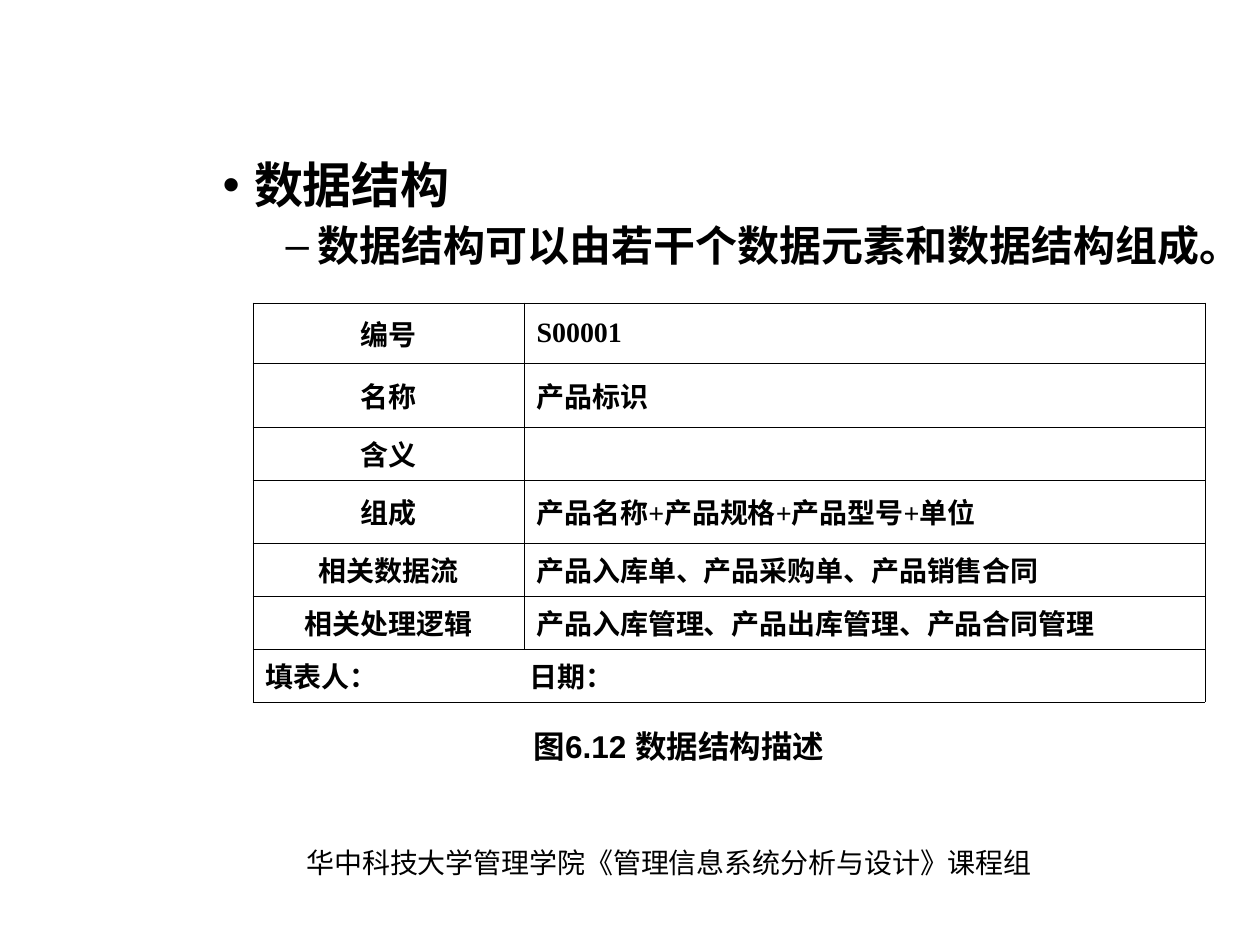
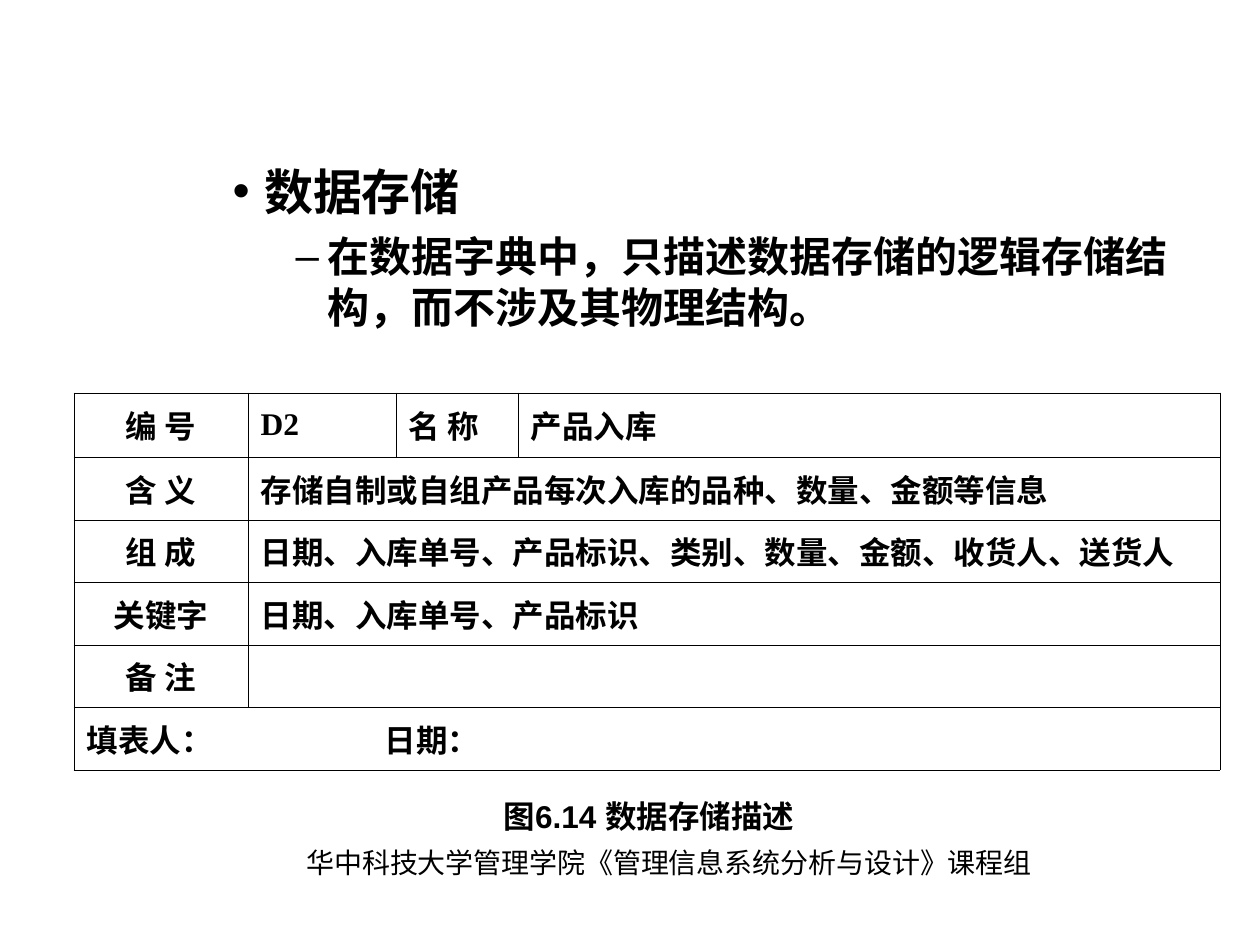
"""Builds two slides on data dictionary entries, each with a list and a form table."""
import lxml.etree
import pptx
import pptx.dml.color
import pptx.enum.text
import pptx.oxml.ns
import pptx.util

HUES = {"ink": "000000", "paper": "FFFFFF"}
HAN = "Noto Sans CJK SC"
SERIF = "Times New Roman"
SANS = "Arial"
FOOT = "华中科技大学管理学院《管理信息系统分析与设计》课程组"
SIGN = ["填表人：\t日期："]


def px(count):
    return pptx.util.Emu(round(count * 914400 / 126))


def hue(name):
    return pptx.dml.color.RGBColor.from_string(HUES[name])


def node(parent, tag, **attrs):
    return lxml.etree.SubElement(parent, pptx.oxml.ns.qn(tag), **attrs)


class Deck:
    def __init__(self):
        self.prs = pptx.Presentation()
        self.prs.slide_width = px(1260)
        self.prs.slide_height = px(945)
        self.slide = None

    def page(self):
        self.slide = self.prs.slides.add_slide(self.prs.slide_layouts[1])
        title = self.slide.shapes.title.element
        title.getparent().remove(title)
        self.label(FOOT, (284, 839, 771, 47), 16, SERIF)

    def style(self, para, size, face, bold=True):
        for run in para.runs:
            font = run.font
            font.size = pptx.util.Pt(size)
            font.bold = bold
            font.color.rgb = hue("ink")
            font.name = face
            node(font._element, "a:ea", typeface=HAN)

    def label(self, text, box, size, face, bold=False):
        frame = self.slide.shapes.add_textbox(*map(px, box)).text_frame
        frame.word_wrap = False
        frame.auto_size = pptx.enum.text.MSO_AUTO_SIZE.SHAPE_TO_FIT_TEXT
        frame.text = text
        para = frame.paragraphs[0]
        para.alignment = pptx.enum.text.PP_ALIGN.CENTER
        self.style(para, size, face, bold)

    def points(self, head, text, left, lines):
        body = self.slide.placeholders[1]
        body.left, body.top, body.width, body.height = map(px, (left, 155, 1260 - left, 674))
        frame = body.text_frame
        frame.auto_size = pptx.enum.text.MSO_AUTO_SIZE.NONE
        frame.text = f"{head}\n{text}"
        for para, level, size, gap in zip(frame.paragraphs, (2, 3), (28, 24), (0, 6)):
            para.level = level
            para.line_spacing = lines
            para.space_before = pptx.util.Pt(gap)
            para._p.get_or_add_pPr().set("hangingPunct", "0")
            self.style(para, size, SANS)

    def cell(self, cell, text, size, mid, stop):
        props = cell._tc.get_or_add_tcPr()
        for side in "LRTB":
            line = node(props, f"a:ln{side}", w="5715")
            node(node(line, "a:solidFill"), "a:srgbClr", val=HUES["ink"])
        cell.fill.solid()
        cell.fill.fore_color.rgb = hue("paper")
        cell.vertical_anchor = pptx.enum.text.MSO_ANCHOR.MIDDLE
        cell.text_frame.text = text
        para = cell.text_frame.paragraphs[0]
        if mid:
            para.alignment = pptx.enum.text.PP_ALIGN.CENTER
        if "\t" in text:
            tabs = node(para._p.get_or_add_pPr(), "a:tabLst")
            node(tabs, "a:tab", pos=str(px(stop)), algn="l")
        self.style(para, size, SERIF)

    def form(self, left, top, cols, highs, rows, size, stop):
        shape = self.slide.shapes.add_table(
            len(rows), len(cols), px(left), px(top), px(sum(cols)), px(sum(highs)))
        table = shape.table
        table.first_row = table.horz_banding = False
        for col, wide in zip(table.columns, cols):
            col.width = px(wide)
        last = len(cols) - 1
        for r, (texts, high) in enumerate(zip(rows, highs)):
            table.rows[r].height = px(high)
            end = len(texts) - 1
            for c in range(len(cols)):
                text = texts[c] if c <= end else ""
                self.cell(table.cell(r, c), text, size, c == 0 and end > 0, stop)
            if end < last:
                table.cell(r, end).merge(table.cell(r, last))


def main():
    deck = Deck()

    deck.page()
    deck.points("数据结构", "数据结构可以由若干个数据元素和数据结构组成。", 84, 0.9)
    deck.form(253, 303, (271, 681), (60, 64, 53, 63, 53, 53, 53), [
        ["编号", "S00001"],
        ["名称", "产品标识"],
        ["含义", ""],
        ["组成", "产品名称+产品规格+产品型号+单位"],
        ["相关数据流", "产品入库单、产品采购单、产品销售合同"],
        ["相关处理逻辑", "产品入库管理、产品出库管理、产品合同管理"],
        SIGN,
    ], 16, 264)
    deck.label("图6.12 数据结构描述", (489, 721, 380, 50), 18, SANS, True)

    deck.page()
    deck.points("数据存储", "在数据字典中，只描述数据存储的逻辑存储结构，而不涉及其物理结构。", 94, 1.0)
    deck.form(74, 393, (174, 148, 122, 702), (64, 63, 62, 63, 62, 63), [
        ["编 号", "D2", "名 称", "产品入库"],
        ["含 义", "存储自制或自组产品每次入库的品种、数量、金额等信息"],
        ["组 成", "日期、入库单号、产品标识、类别、数量、金额、收货人、送货人"],
        ["关键字", "日期、入库单号、产品标识"],
        ["备 注", ""],
        SIGN,
    ], 18, 298)
    deck.label("图6.14 数据存储描述", (459, 791, 380, 50), 18, SANS, True)

    deck.prs.save("out.pptx")


if __name__ == "__main__":
    main()
